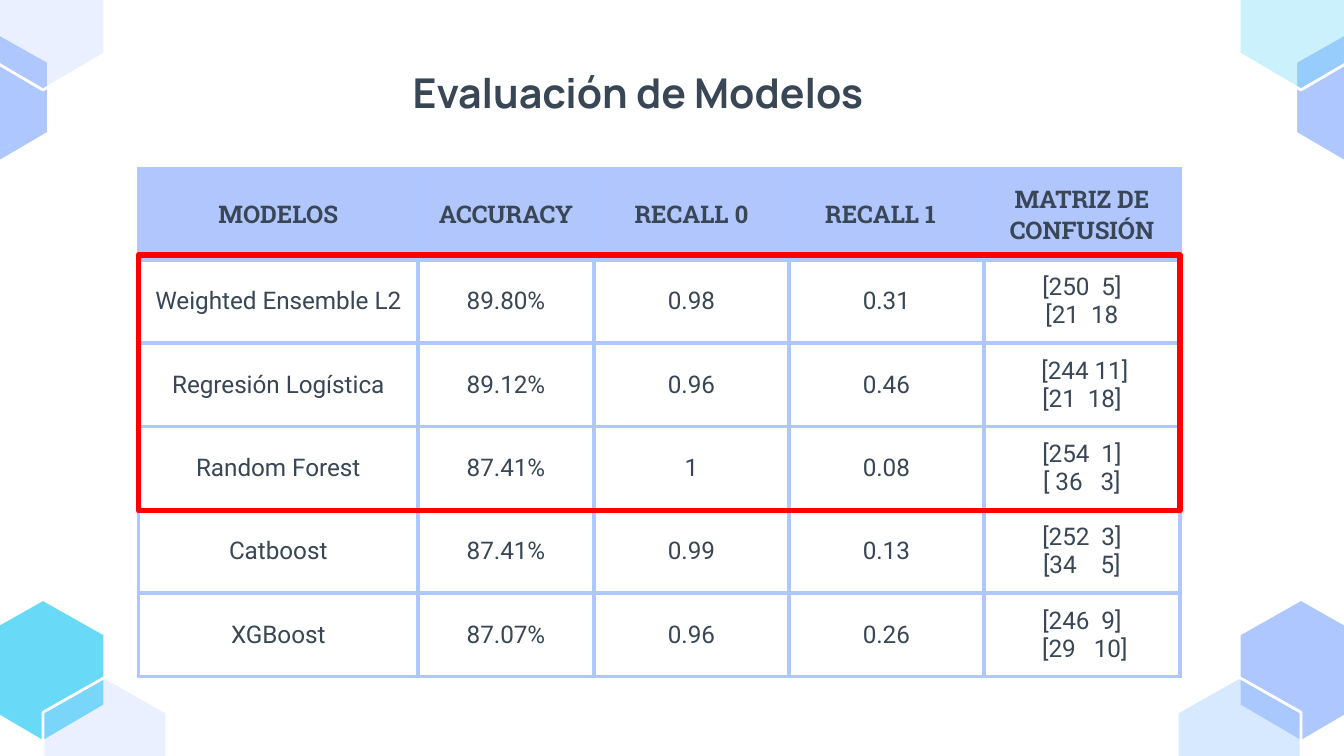
from typing import NamedTuple

from lxml.etree import SubElement
from pptx import Presentation
from pptx.dml.color import RGBColor
from pptx.enum.shapes import MSO_SHAPE as Preset
from pptx.enum.text import MSO_ANCHOR as Anchor, MSO_AUTO_SIZE as AutoSize, PP_ALIGN as Align
from pptx.oxml import parse_xml
from pptx.oxml.ns import nsdecls, qn
from pptx.util import Inches, Pt

COLORS = {
    "ink": "384655",
    "white": "FFFFFF",
    "periwinkle": "AFC7FF",
    "header": "B1C6FD",
    "cyan": "68DAF8",
    "sky": "9FCBFD",
    "highlight": "FF0000",
}
SLIDE_WIDTH = 10
SLIDE_HEIGHT = SLIDE_WIDTH * 9 / 16
HEX_OUTLINE = [(0, 0), (0.46, 0.26), (0.46, 0.79), (0, 1.06), (-0.46, 0.79), (-0.46, 0.26)]
COLUMN_WIDTHS = [2.08, 1.31, 1.45, 1.45, 1.46]
ROW_HEIGHT = 0.6
MARGIN = Inches(0.1)


class Hexagon(NamedTuple):
    center: float  # distance of the axis from the nearer slide edge
    top: float
    left_color: str
    right_color: str
    left_opacity: int = 100
    right_opacity: int = 100


class Model(NamedTuple):
    name: str
    accuracy: str
    recall_0: str
    recall_1: str
    confusion: str


HEXAGONS = [
    Hexagon(0.32, 4.46, "cyan", "periwinkle"),
    Hexagon(-0.1, 0.2, "periwinkle", "periwinkle"),
    Hexagon(0.78, 5.04, "periwinkle", "sky", 25, 41),
    Hexagon(0.32, -0.39, "periwinkle", "cyan", 25, 34),
]
HEADER = Model("MODELOS", "ACCURACY", "RECALL 0", "RECALL 1", "MATRIZ DE\nCONFUSIÓN")
MODELS = [
    Model("Weighted Ensemble L2", "89.80%", "0.98", "0.31", "[250  5]\n[21  18"),
    Model("Regresión Logística", "89.12%", "0.96", "0.46", " [244 11]\n[21  18]"),
    Model("Random Forest", "87.41%", "1", "0.08", "[254  1]\n[ 36   3]"),
    Model("Catboost", "87.41%", "0.99", "0.13", "[252  3]\n[34    5]"),
    Model("XGBoost", "87.07%", "0.96", "0.26", "[246  9]\n [29   10]"),
]


def rgb(color: str) -> RGBColor:
    return RGBColor.from_string(COLORS[color])


def set_font(paragraph, family: str, size: float, bold: bool) -> None:
    font = paragraph.font
    font.name, font.size, font.bold = family, Pt(size), bold
    font.color.rgb = rgb("ink")


def draw_hexagon(slide, center: float, top: float, color: str, opacity: int) -> None:
    points = [(Inches(center + dx), Inches(top + dy)) for dx, dy in HEX_OUTLINE]
    builder = slide.shapes.build_freeform(*points[0])
    builder.add_line_segments(points[1:], close=True)
    hexagon = builder.convert_to_shape()
    hexagon.shadow.inherit = False
    hexagon.fill.solid()
    hexagon.fill.fore_color.rgb = rgb(color)
    hexagon.line.color.rgb = rgb("white")
    hexagon.line.width = Pt(1.5)
    if opacity < 100:
        fill_color = hexagon.fill._xPr.find(qn("a:solidFill"))[0]
        SubElement(fill_color, qn("a:alpha")).set("val", str(opacity * 1000))


def add_borders(cell, color: str, width: float) -> None:
    properties = cell._tc.get_or_add_tcPr()
    for position, side in enumerate("LRTB"):
        properties.insert(position, parse_xml(
            f'<a:ln{side} {nsdecls("a")} w="{Pt(width)}"><a:solidFill>'
            f'<a:srgbClr val="{COLORS[color]}"/></a:solidFill></a:ln{side}>'))


def fill_cell(cell, text: str, is_header: bool) -> None:
    cell.text = text
    cell.vertical_anchor = Anchor.MIDDLE
    cell.margin_left = cell.margin_right = cell.margin_top = cell.margin_bottom = MARGIN
    cell.fill.solid()
    cell.fill.fore_color.rgb = rgb("header" if is_header else "white")
    add_borders(cell, "periwinkle", 2.25)
    for paragraph in cell.text_frame.paragraphs:
        paragraph.alignment = Align.CENTER
        set_font(paragraph, "Roboto Slab" if is_header else "Roboto", 13, is_header)


def draw_models(slide, left: float, top: float) -> None:
    rows = [HEADER, *MODELS]
    table = slide.shapes.add_table(
        len(rows), len(COLUMN_WIDTHS), Inches(left), Inches(top),
        Inches(sum(COLUMN_WIDTHS)), Inches(ROW_HEIGHT * len(rows))).table
    table.first_row = table.horz_banding = False
    for column, width in zip(table.columns, COLUMN_WIDTHS):
        column.width = Inches(width)
    for r, model in enumerate(rows):
        for c, text in enumerate(model):
            fill_cell(table.cell(r, c), text, is_header=r == 0)

    # The "RECALL 1" heading is indented from the left
    recall_1 = table.cell(0, HEADER.index("RECALL 1"))
    recall_1.margin_left = Inches(0.27)
    recall_1.text_frame.paragraphs[0].alignment = Align.LEFT


def write_title(title, text: str) -> None:
    title.left, title.top = Inches(2.97), Inches(0.4)
    title.width, title.height = Inches(4.06), Inches(0.49)
    frame = title.text_frame
    frame.text = text
    frame.word_wrap = True
    frame.auto_size = AutoSize.NONE
    frame.vertical_anchor = Anchor.TOP
    frame.margin_left = frame.margin_right = frame.margin_top = frame.margin_bottom = MARGIN
    frame.paragraphs[0].alignment = Align.LEFT
    set_font(frame.paragraphs[0], "Manrope", 22, True)


def main() -> None:
    deck = Presentation()
    deck.slide_width, deck.slide_height = Inches(SLIDE_WIDTH), Inches(SLIDE_HEIGHT)
    slide = deck.slides.add_slide(deck.slide_layouts[5])

    # Corner hexagons, mirrored in position
    for h in HEXAGONS:
        draw_hexagon(slide, SLIDE_WIDTH - h.center, h.top, h.right_color, h.right_opacity)
    for h in HEXAGONS:
        draw_hexagon(slide, h.center, h.top, h.left_color, h.left_opacity)

    # Title and results table
    write_title(slide.shapes.title, "Evaluación de Modelos")
    draw_models(slide, 1.03, 1.26)

    # Frame around the three best models
    best = slide.shapes.add_shape(
        Preset.RECTANGLE, Inches(1.03), Inches(1.9), Inches(7.75), Inches(1.9))
    best.shadow.inherit = False
    best.fill.background()
    best.line.color.rgb = rgb("highlight")
    best.line.width = Pt(3)

    deck.save("out.pptx")


if __name__ == "__main__":
    main()
